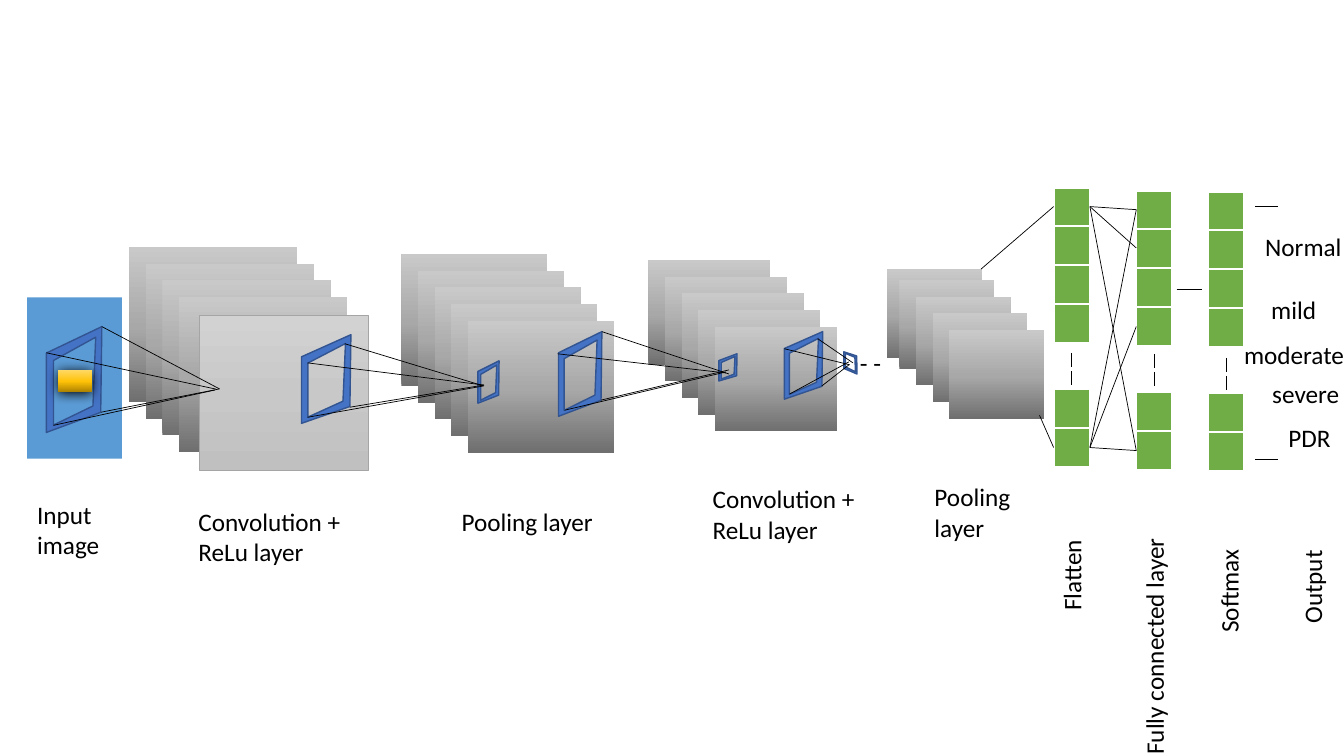
"""Build a slide that shows a convolutional network from input image to output."""
from lxml import etree
from pptx import Presentation
from pptx.dml.color import RGBColor
from pptx.enum.shapes import MSO_CONNECTOR, MSO_SHAPE
from pptx.enum.text import MSO_AUTO_SIZE
from pptx.oxml import parse_xml
from pptx.oxml.ns import qn
from pptx.util import Inches, Pt

RECT = MSO_SHAPE.RECTANGLE
STRAIGHT = MSO_CONNECTOR.STRAIGHT
GROW = MSO_AUTO_SIZE.SHAPE_TO_FIT_TEXT
A = "http://schemas.openxmlformats.org/drawingml/2006/main"
GREY = [(0, "6F6F6F"), (48, "A8A8A8"), (100, "C9C9C9")]
LIGHT = [(0, "D2D2D2"), (50, "C8C8C8"), (100, "C0C0C0")]
GOLD = [(0, "AB8100"), (48, "FFC208"), (100, "FFD966")]
OUTER = [(0, 0.25), (1, 0), (0.98, 0.81), (0, 1)]
INNER = [(0.13, 0.32), (0.13, 0.93), (0.84, 0.75), (0.89, 0.1)]
STEP = 0.165


def rgb(color):
    return RGBColor.from_string(color)


class Diagram:
    def __init__(self, s):
        self.s = s
        self.font, self.size, self.ink = "Calibri", Pt(18), "000000"

    def finish(self, sp, fill, line, width):
        sp.shadow.inherit = False
        if isinstance(fill, str):
            sp.fill.solid()
            sp.fill.fore_color.rgb = rgb(fill)
        if line:
            sp.line.color.rgb = rgb(line)
            sp.line.width = Pt(width)
        else:
            sp.line.fill.background()
        return sp

    def box(self, x, y, w, h, fill, line=None, width=1, angle=270):
        sp = self.s.shapes.add_shape(RECT, Inches(x), Inches(y), Inches(w), Inches(h))
        self.finish(sp, fill, line, width)
        if not isinstance(fill, str):
            stops = "".join(f'<a:gs pos="{pos * 1000}"><a:srgbClr val="{c}"/></a:gs>' for pos, c in fill)
            grad = parse_xml(f'<a:gradFill xmlns:a="{A}" rotWithShape="1"><a:gsLst>{stops}</a:gsLst>'
                             f'<a:lin ang="{angle * 60000}" scaled="0"/></a:gradFill>')
            sp._element.spPr.find(qn("a:prstGeom")).addnext(grad)
        return sp

    def glow(self, sp, blur, dist):
        effects = sp._element.spPr.find(qn("a:effectLst"))
        shadow = etree.SubElement(effects, qn("a:outerShdw"), blurRad=str(Pt(blur)),
                                  dist=str(Pt(dist)), dir="5400000", rotWithShape="0")
        etree.SubElement(shadow, qn("a:srgbClr"), val=self.ink)

    def stack(self, x, y, w, h, count):
        for i in range(count):
            self.box(x + i * STEP, y + i * STEP, w, h, GREY)

    def frame(self, x, y, w, h, flip=False):
        def place(points):
            return [(Inches(x + u * w), Inches(y + (1 - v if flip else v) * h)) for u, v in points]

        outer, inner = place(OUTER), place(INNER)
        builder = self.s.shapes.build_freeform(*outer[0], scale=1.0)
        builder.add_line_segments(outer[1:], close=True)
        builder.move_to(*inner[0])
        builder.add_line_segments(inner[1:], close=True)
        self.finish(builder.convert_to_shape(), "4472C4", "325491", 1)

    def line(self, x1, y1, x2, y2):
        c = self.s.shapes.add_connector(STRAIGHT, Inches(x1), Inches(y1), Inches(x2), Inches(y2))
        c.line.color.rgb = rgb(self.ink)
        c.line.width = Pt(0.5)
        etree.SubElement(c._element.spPr, qn("a:effectLst"))

    def text(self, words, x, y, w, h=0.4, rotation=0):
        sp = self.s.shapes.add_textbox(Inches(x), Inches(y), Inches(w), Inches(h))
        sp.rotation = rotation
        tf = sp.text_frame
        tf.word_wrap = True
        tf.auto_size = GROW
        r = tf.paragraphs[0].add_run()
        r.text = words
        r.font.name, r.font.size = self.font, self.size
        r.font.color.rgb = rgb(self.ink)

    def neurons(self, x, top, dash_top):
        for offset in (0, 0.385, 0.77, 1.155, 2, 2.385):
            self.box(x, top + offset, 0.36, 0.39, "70AD47", "FFFFFF", 1.5)
        for y in (dash_top, dash_top + 0.18):
            self.line(x + 0.18, y, x + 0.18, y + 0.14)


prs = Presentation()
prs.slide_width, prs.slide_height = Inches(13.33), Inches(7.5)
d = Diagram(prs.slides.add_slide(prs.slide_layouts[6]))

d.box(0.27, 2.95, 0.94, 1.6, "5B9BD5")
d.stack(1.28, 2.45, 1.67, 1.54, 4)
d.box(1.98, 3.13, 1.67, 1.54, LIGHT, "A5A5A5", 0.5, angle=90)
d.stack(3.98, 2.52, 1.45, 1.31, 5)
d.stack(6.43, 2.58, 1.21, 1.04, 5)
d.box(8.8, 2.67, 0.94, 0.88, GREY)
d.stack(8.92, 2.78, 0.94, 0.88, 4)

for x, y, w, h in [(0.46, 3.24, 0.55, 1.05), (2.99, 3.32, 0.49, 0.88), (5.54, 3.29, 0.43, 0.84),
                   (7.78, 3.29, 0.38, 0.67), (7.13, 3.51, 0.18, 0.27), (4.74, 3.58, 0.21, 0.42)]:
    d.frame(x, y, w, h)
d.frame(8.37, 3.49, 0.13, 0.22, flip=True)

for x, top, dash_top in [(10.45, 1.86, 3.5), (11.27, 1.89, 3.51), (11.98, 1.9, 3.55)]:
    d.neurons(x, top, dash_top)

PROJECTIONS = [
    (1.01, 3.24, 2.18, 3.86), (1, 4.09, 2.17, 3.86), (0.46, 3.5, 2.14, 3.86), (0.53, 4.22, 2.13, 3.87),
    (3.42, 3.41, 4.8, 3.83), (3.47, 4.04, 4.8, 3.82), (3.05, 4.14, 4.79, 3.83), (3.05, 3.6, 4.8, 3.82),
    (5.97, 3.29, 7.23, 3.71), (5.96, 3.97, 7.23, 3.67), (5.53, 3.51, 7.2, 3.7), (5.6, 4.07, 7.2, 3.69),
    (8.11, 3.36, 8.46, 3.6), (8.15, 3.83, 8.42, 3.62), (7.78, 3.46, 8.43, 3.62), (7.83, 3.91, 8.42, 3.59),
    (9.73, 2.67, 10.45, 2.05), (10.31, 4.12, 10.45, 4.44),
]
OUTPUT_TICKS = [(11.67, 2.87, 11.92, 2.87), (12.45, 2.05, 12.68, 2.05), (12.45, 4.56, 12.68, 4.56)]
for ends in PROJECTIONS + OUTPUT_TICKS:
    d.line(*ends)
for start, targets in [(2.05, (2.08, 2.46, 4.47)), (4.44, (2.08, 4.47, 3.24))]:
    for target in targets:
        d.line(10.81, start, 11.27, target)

d.glow(d.box(0.58, 3.67, 0.33, 0.22, GOLD), 8.5, 1)

for label in [
    ("- -", 8.43, 3.4, 0.68),
    ("Input image", 0.27, 4.9, 0.94, 0.71),
    ("Convolution + ReLu layer", 1.87, 4.97, 1.67, 0.71),
    ("Convolution + ReLu layer", 6.97, 4.75, 1.67, 0.71),
    ("Pooling layer", 4.48, 4.97, 1.71),
    ("Pooling layer", 9.17, 4.73, 1.03, 0.71),
    ("Flatten", 10.01, 5.34, 1.23, 0.4, 270),
    ("Fully connected layer", 10.21, 6.15, 2.47, 0.4, 270),
    ("Softmax", 11.56, 5.55, 1.25, 0.4, 270),
    ("Output", 12.5, 5.57, 1.03, 0.4, 270),
    ("Normal", 12.45, 2.25, 0.99),
    ("mild", 12.51, 2.87, 0.72),
    ("moderate", 12.24, 3.32, 1.26),
    ("severe", 12.52, 3.7, 1.26),
    ("PDR", 12.68, 4.14, 1.26),
]:
    d.text(*label)

prs.save("out.pptx")
